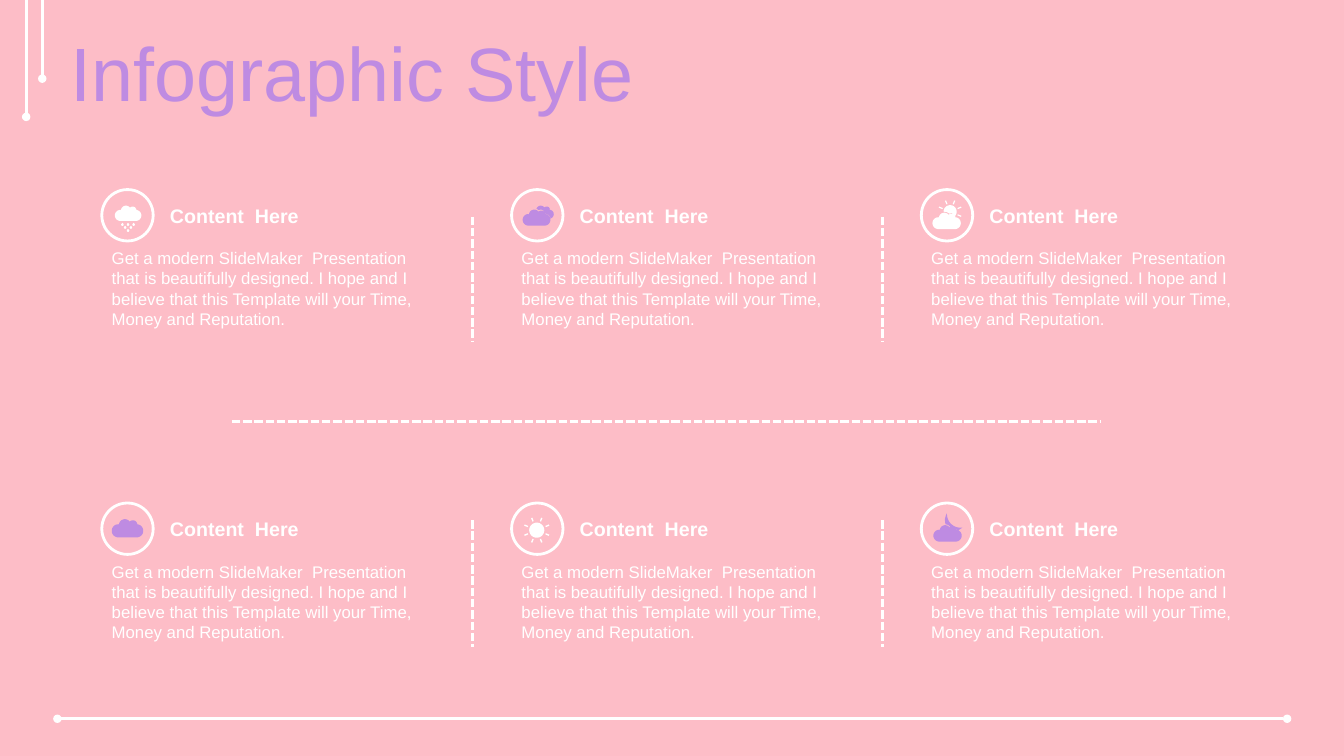
import math

import pptx
import pptx.dml.color
import pptx.enum.dml
import pptx.enum.shapes
import pptx.enum.text
import pptx.oxml.ns
import pptx.oxml.xmlchemy
import pptx.util

Pt = pptx.util.Pt
rgb = pptx.dml.color.RGBColor.from_string
WHITE, PURPLE, PINK = "FFFFFF", "BE8BE2", "FDBDC7"
BODY = ("Get a modern SlideMaker  Presentation that is beautifully designed. "
        "I hope and I believe that this Template will your Time, Money and Reputation.")

deck = pptx.Presentation()
deck.slide_width, deck.slide_height = Pt(960), Pt(540)
page = deck.slides.add_slide(deck.slide_layouts[6])
page.background.fill.solid()
page.background.fill.fore_color.rgb = rgb(PINK)


def write(text, left, top, width, height, size, color=WHITE, bold=False,
          anchor=pptx.enum.text.MSO_ANCHOR.TOP, spacing=1.0):
    box = page.shapes.add_textbox(Pt(left), Pt(top), Pt(width), Pt(height))
    box.text_frame.word_wrap = True
    box.text_frame.vertical_anchor = anchor
    para = box.text_frame.paragraphs[0]
    para.line_spacing = spacing
    span = para.add_run()
    span.text = text
    span.font.name, span.font.size, span.font.bold = "Arial", Pt(size), bold
    span.font.color.rgb = rgb(color)


def arc(x, y, radius, start, end, steps=16):
    """Points along a circle; degrees run clockwise from the right."""
    angles = [math.radians(start + (end - start) * i / steps) for i in range(steps + 1)]
    return [(x + radius * math.cos(a), y + radius * math.sin(a)) for a in angles]


# Lines: start x, start y, end x, end y, dashed, oval ends
lines = [
    (41, 513.4, 919.4, 513.4, False, ["headEnd", "tailEnd"]),
    (18.7, 0, 18.7, 83.5, False, ["tailEnd"]),
    (30.2, 0, 30.2, 56.2, False, ["tailEnd"]),
    (165.6, 301, 786.2, 301, True, []),
]
for x in (337.7, 630.4):
    for top, bottom in ((154.8, 244.1), (371.5, 462.2)):
        lines.append((x, top, x, bottom, True, []))

for x1, y1, x2, y2, dashed, ends in lines:
    rule = page.shapes.add_connector(
        pptx.enum.shapes.MSO_CONNECTOR.STRAIGHT, Pt(x1), Pt(y1), Pt(x2), Pt(y2))
    rule.line.color.rgb = rgb(WHITE)
    rule.line.width = Pt(2)
    if dashed:
        rule.line.dash_style = pptx.enum.dml.MSO_LINE.SQUARE_DOT
    properties = rule.element.spPr
    stroke = properties.find(pptx.oxml.ns.qn("a:ln"))
    for end in ends:
        tip = pptx.oxml.xmlchemy.OxmlElement(f"a:{end}")
        tip.set("type", "oval")
        stroke.append(tip)
    properties.append(pptx.oxml.xmlchemy.OxmlElement("a:effectLst"))

write("Infographic Style", 43.2, 26.6, 916.6, 56.9, 54, color=PURPLE,
      anchor=pptx.enum.text.MSO_ANCHOR.MIDDLE, spacing=0.9)

# Icon parts are measured in points from the centre of the ring.
# cloud: left, top, scale; rays: x, y, inner and outer radius, angles
raindrops = [[(x, y)] + arc(x, y + 1.3, 0.9, -20, 200)
             for x, y in ((-3.6, 5.4), (0.4, 5.4), (4.4, 5.4),
                          (-1.7, 7.5), (2.5, 7.5), (0.4, 9.7))]
back_cloud = (arc(2.5, -3.6, 3.2, 200, 325) + arc(6.8, -4, 2.2, 230, 350)
              + arc(8.6, -0.7, 3.2, 270, 430) + arc(5.4, 3.2, 4.3, 350, 270)
              + arc(2.5, -1.1, 2.9, 0, -120))
half_sun = arc(2.2, -2.5, 4.7, 180, 398) + [(3.2, -1.8), (1.8, -1.1), (-0.4, -2.4)]
moon = arc(9.7, -10.4, 9.7, 184, 82) + [
    (8.3, 1.1), (6.8, 0.4), (5.8, -1.3), (4, -2), (2.5, -1.3),
    (0.9, -2.7), (-1.1, -3.2), (-1.5, -6.8), (-0.8, -9.3)]
icons = [
    {"color": WHITE, "cloud": (-9, -6.8, 0.84), "parts": raindrops},
    {"color": PURPLE, "cloud": (-10.4, -4, 0.88), "parts": [back_cloud]},
    {"color": WHITE, "cloud": (-10.4, -1.8, 0.9), "parts": [half_sun],
     "rays": (2.2, -2.5, 5.8, 8.6, [-157.5 + 45 * i for i in range(5)])},
    {"color": PURPLE, "cloud": (-11.2, -6.8, 1), "parts": []},
    {"color": WHITE, "parts": [arc(-0.3, 1.1, 5.4, 0, 360, steps=32)],
     "rays": (-0.3, 1.1, 6.8, 9.5, [22.5 + 45 * i for i in range(8)])},
    {"color": PURPLE, "cloud": (-9.7, -2.5, 0.9), "parts": [moon]},
]

RING = 36.7
for index, icon in enumerate(icons):
    row, column = divmod(index, 3)
    left, top = 72.7 + 292.7 * column, 135.4 + 223.9 * row

    ring = page.shapes.add_shape(
        pptx.enum.shapes.MSO_SHAPE.OVAL, Pt(left), Pt(top), Pt(RING), Pt(RING))
    ring.shadow.inherit = False
    ring.fill.background()
    ring.line.color.rgb = rgb(WHITE)
    ring.line.width = Pt(2)

    write("Content  Here", left + 41.6, top + 6.5, 195.1, 24.5, 14, bold=True)
    write(BODY, left, top + 38.2, 236.9, 65.5, 12)

    outlines = list(icon["parts"])
    if "cloud" in icon:
        x, y, scale = icon["cloud"]
        cloud = (arc(4.7, 8.3, 4.7, 90, 270) + arc(9.4, 4.3, 4.3, 180, 325)
                 + arc(15.1, 4, 3.2, 230, 350) + arc(17.8, 8.3, 4.7, 270, 450))
        outlines.append([(x + scale * px, y + scale * py) for px, py in cloud])
    if "rays" in icon:
        x, y, inner, outer, angles = icon["rays"]
        for angle in angles:
            outlines.append(arc(x, y, inner, angle - 4, angle + 4, steps=1)
                            + arc(x, y, outer, angle + 3, angle - 3, steps=1))

    # Outlines are drawn in hundredths of a point.
    outlines = [[(100 * x, 100 * y) for x, y in outline] for outline in outlines]
    builder = page.shapes.build_freeform(*outlines[0][0], scale=Pt(1) / 100)
    for number, outline in enumerate(outlines):
        if number:
            builder.move_to(*outline[0])
        builder.add_line_segments(outline[1:], close=True)
    weather = builder.convert_to_shape(Pt(left + RING / 2), Pt(top + RING / 2))
    weather.shadow.inherit = False
    weather.fill.solid()
    weather.fill.fore_color.rgb = rgb(icon["color"])
    weather.line.fill.background()

deck.save("out.pptx")
